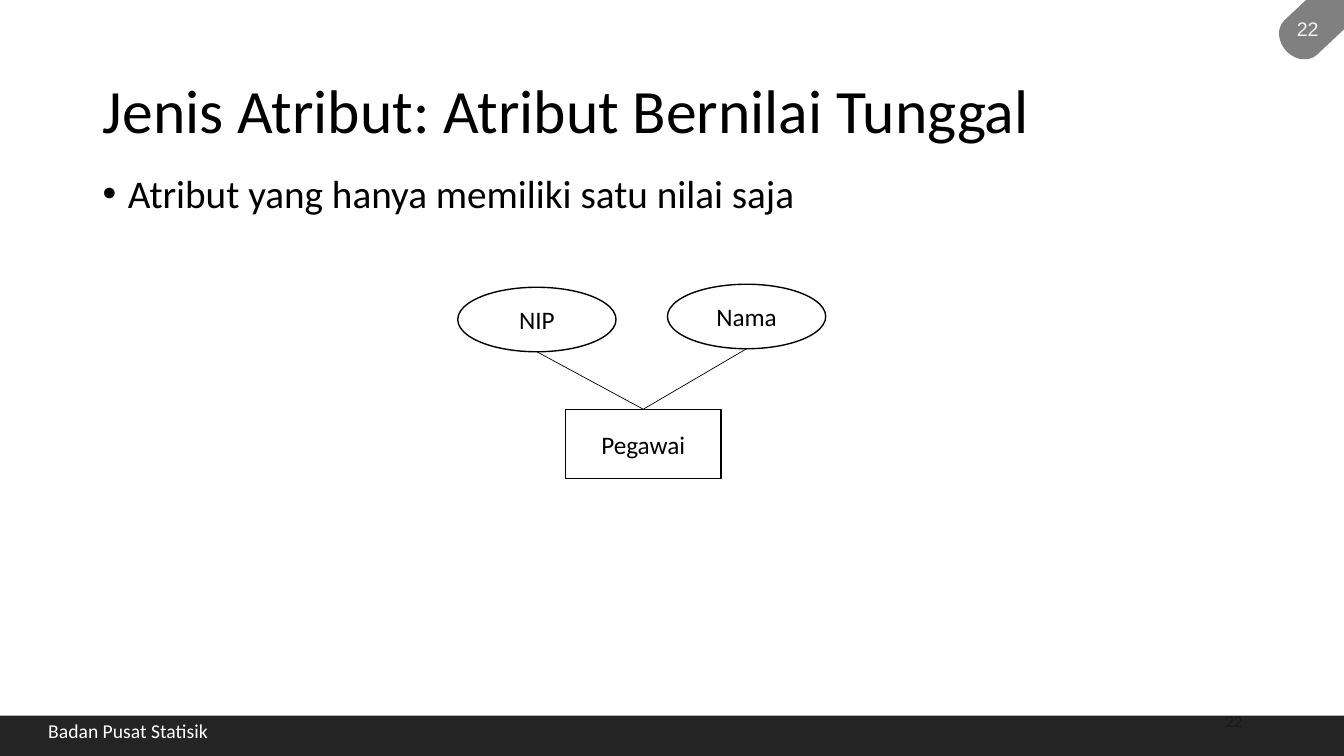
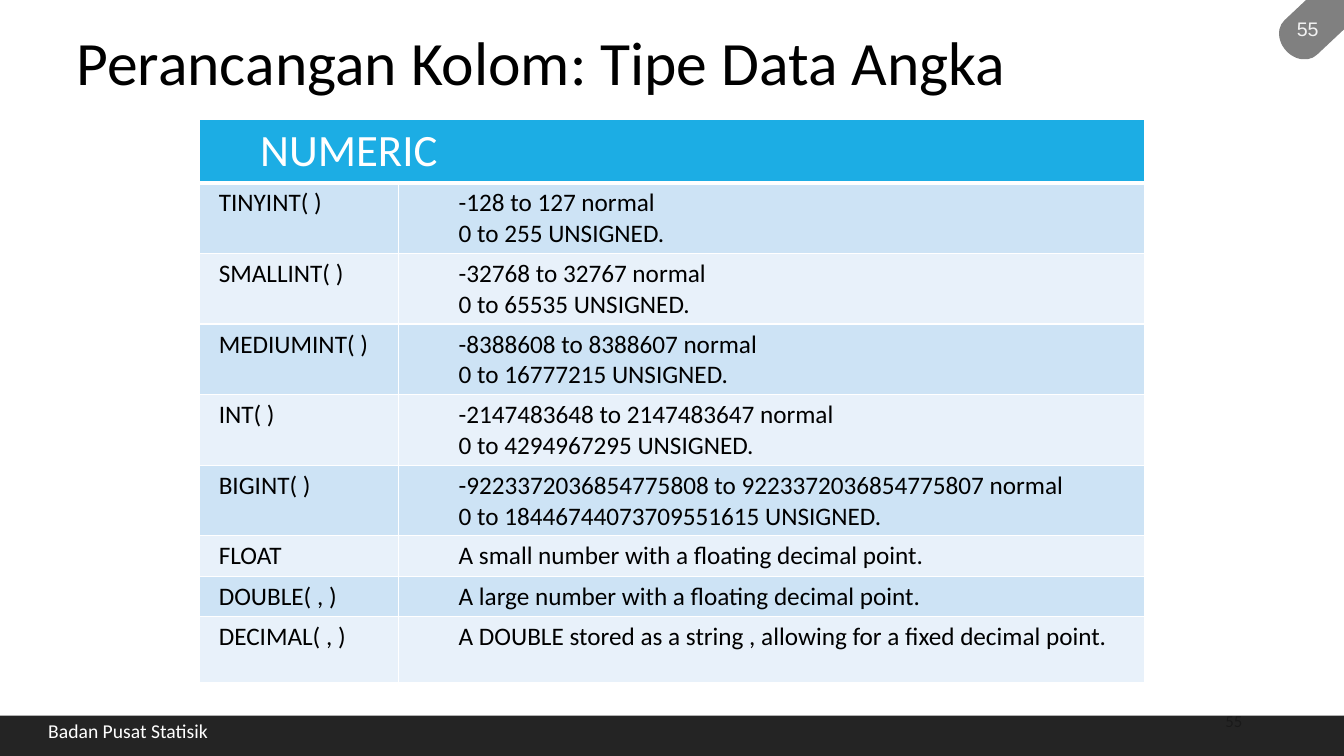
"""Build two database lecture slides: an entity diagram and a table of numeric types."""
from lxml import etree
from pptx import Presentation
from pptx.dml.color import RGBColor
from pptx.enum.shapes import MSO_CONNECTOR, MSO_SHAPE
from pptx.enum.text import MSO_ANCHOR, MSO_AUTO_SIZE, PP_ALIGN
from pptx.oxml.ns import qn
from pptx.util import Inches, Pt

COLORS = {
    "black": "000000", "white": "FFFFFF", "band": "0D0D0D", "badge": "808080",
    "badge_text": "F2F2F2", "number": "8C8C8C", "header": "1CADE4",
    "odd_row": "CDE3F5", "even_row": "E8F1FA",
}
RGB = {name: RGBColor.from_string(value) for name, value in COLORS.items()}


def write(tf, lines, size, color="black", font="Calibri", align=PP_ALIGN.LEFT,
          spacing=None, indent=0):
    for i, line in enumerate(lines):
        p = tf.paragraphs[0] if i == 0 else tf.add_paragraph()
        p.alignment = align
        p.line_spacing = spacing
        if indent:
            p._p.get_or_add_pPr().set("marL", str(Inches(indent)))
        r = p.add_run()
        r.text = line
        r.font.size = Pt(size)
        r.font.name = font
        r.font.color.rgb = RGB[color]


def add_box(slide, box, shape=None, fill=None, line=None):
    place = [Inches(v) for v in box]
    if shape is None:
        sp = slide.shapes.add_textbox(*place)
    else:
        sp = slide.shapes.add_shape(shape, *place)
        sp.shadow.inherit = False
        sp.fill.solid()
        sp.fill.fore_color.rgb = RGB[fill]
        if line:
            sp.line.color.rgb = RGB[line]
            sp.line.width = Pt(1)
        else:
            sp.line.fill.background()
    sp.text_frame.word_wrap = True
    return sp


prs = Presentation()
prs.slide_width, prs.slide_height = Inches(13.33), Inches(7.5)

PAGES = [
    ("Jenis Atribut: Atribut Bernilai Tunggal", (0.92, 0.4, 11.5, 1.45), "22"),
    ("Perancangan Kolom: Tipe Data Angka", (0.66, 0.12, 11.5, 1.07), "55"),
]
slides = []
for heading, box, number in PAGES:
    slide = prs.slides.add_slide(prs.slide_layouts[5])
    slides.append(slide)
    title = slide.shapes.title
    title.left, title.top, title.width, title.height = [Inches(v) for v in box]
    tf = title.text_frame
    tf.auto_size = MSO_AUTO_SIZE.NONE
    tf.vertical_anchor = MSO_ANCHOR.MIDDLE
    write(tf, [heading], 44, spacing=0.9)

    tf = add_box(slide, (9.42, 6.95, 3, 0.4)).text_frame
    tf.vertical_anchor = MSO_ANCHOR.MIDDLE
    write(tf, [number], 12, "number", align=PP_ALIGN.RIGHT)

    band = add_box(slide, (0, 7.1, 13.33, 0.4), MSO_SHAPE.RECTANGLE, "band")
    band_color = band._element.spPr.find(qn("a:solidFill")).find(qn("a:srgbClr"))
    etree.SubElement(band_color, qn("a:alpha")).set("val", "90000")
    tf = add_box(slide, (0.38, 7.11, 1.81, 0.31)).text_frame
    tf.word_wrap = False
    write(tf, ["Badan Pusat Statisik"], 14, "white", spacing=0.9)

    badge = add_box(slide, (12.6, -0.13, 1.17, 0.47), MSO_SHAPE.FLOWCHART_STORED_DATA, "badge")
    badge.rotation = 316.8
    tf = add_box(slide, (12.74, 0.12, 0.46, 0.34)).text_frame
    write(tf, [number], 14, "badge_text", "Arial", PP_ALIGN.CENTER)

diagram_slide, types_slide = slides

tf = add_box(diagram_slide, (0.92, 1.68, 11.5, 4.76)).text_frame
pPr = tf.paragraphs[0]._p.get_or_add_pPr()
pPr.set("indent", str(-Inches(0.25)))
etree.SubElement(pPr, qn("a:buFont")).set("typeface", "Arial")
etree.SubElement(pPr, qn("a:buChar")).set("char", "•")
write(tf, ["Atribut yang hanya memiliki satu nilai saja"], 28, spacing=0.9, indent=0.25)

NODES = [
    ("Pegawai", MSO_SHAPE.RECTANGLE, (5.61, 4.06, 1.54, 0.69)),
    ("NIP", MSO_SHAPE.OVAL, (4.54, 2.85, 1.57, 0.64)),
    ("Nama", MSO_SHAPE.OVAL, (6.62, 2.82, 1.57, 0.64)),
]
nodes = []
for label, shape, box in NODES:
    sp = add_box(diagram_slide, box, shape, "white", "black")
    sp.text_frame.vertical_anchor = MSO_ANCHOR.MIDDLE
    write(sp.text_frame, [label], 18, align=PP_ALIGN.CENTER)
    nodes.append(sp)

entity, *attributes = nodes
for sp in attributes:
    link = diagram_slide.shapes.add_connector(
        MSO_CONNECTOR.STRAIGHT, sp.left + sp.width // 2, sp.top + sp.height,
        entity.left + entity.width // 2, entity.top)
    link.end_connect(entity, 0)
    link.line.color.rgb = RGB["black"]
    link.line.width = Pt(0.5)
    etree.SubElement(link._element.spPr, qn("a:effectLst"))

TYPES = [
    ("TINYINT( )", ["-128 to 127 normal", "0 to 255 UNSIGNED."]),
    ("SMALLINT( )", ["-32768 to 32767 normal", "0 to 65535 UNSIGNED."]),
    ("MEDIUMINT( )", ["-8388608 to 8388607 normal", "0 to 16777215 UNSIGNED."]),
    ("INT( )", ["-2147483648 to 2147483647 normal", "0 to 4294967295 UNSIGNED."]),
    ("BIGINT( )", ["-9223372036854775808 to 9223372036854775807 normal",
                   "0 to 18446744073709551615 UNSIGNED."]),
    ("FLOAT", ["A small number with a floating decimal point."]),
    ("DOUBLE( , )", ["A large number with a floating decimal point."]),
    ("DECIMAL( , )", ["A DOUBLE stored as a string , allowing for a fixed decimal point."]),
]
ROW_HEIGHTS = [0.61] + [0.66] * 5 + [0.37] * 2 + [0.66]
table = types_slide.shapes.add_table(
    len(ROW_HEIGHTS), 2, Inches(1.98), Inches(1.18), Inches(9.37), Inches(5.6)).table
table.columns[0].width, table.columns[1].width = Inches(1.97), Inches(7.4)
for i, height in enumerate(ROW_HEIGHTS):
    table.rows[i].height = Inches(height)
    fill = "header" if i == 0 else "odd_row" if i % 2 else "even_row"
    for cell in table.rows[i].cells:
        tcPr = cell._tc.get_or_add_tcPr()
        for side in "LRTB":
            thick = (i == 0 and side == "B") or (i == 1 and side == "T")
            ln = etree.SubElement(tcPr, qn(f"a:ln{side}"), w=str(Pt(3 if thick else 1)))
            ln_fill = etree.SubElement(ln, qn("a:solidFill"))
            etree.SubElement(ln_fill, qn("a:srgbClr"), val=COLORS["white"])
        cell.fill.solid()
        cell.fill.fore_color.rgb = RGB[fill]

table.cell(0, 0).merge(table.cell(0, 1))
write(table.cell(0, 0).text_frame, ["NUMERIC"], 32, "white", indent=0.5)
for i, (name, notes) in enumerate(TYPES, 1):
    write(table.cell(i, 0).text_frame, [name], 18, indent=0.09)
    write(table.cell(i, 1).text_frame, notes, 18, indent=0.5)

prs.save("out.pptx")
